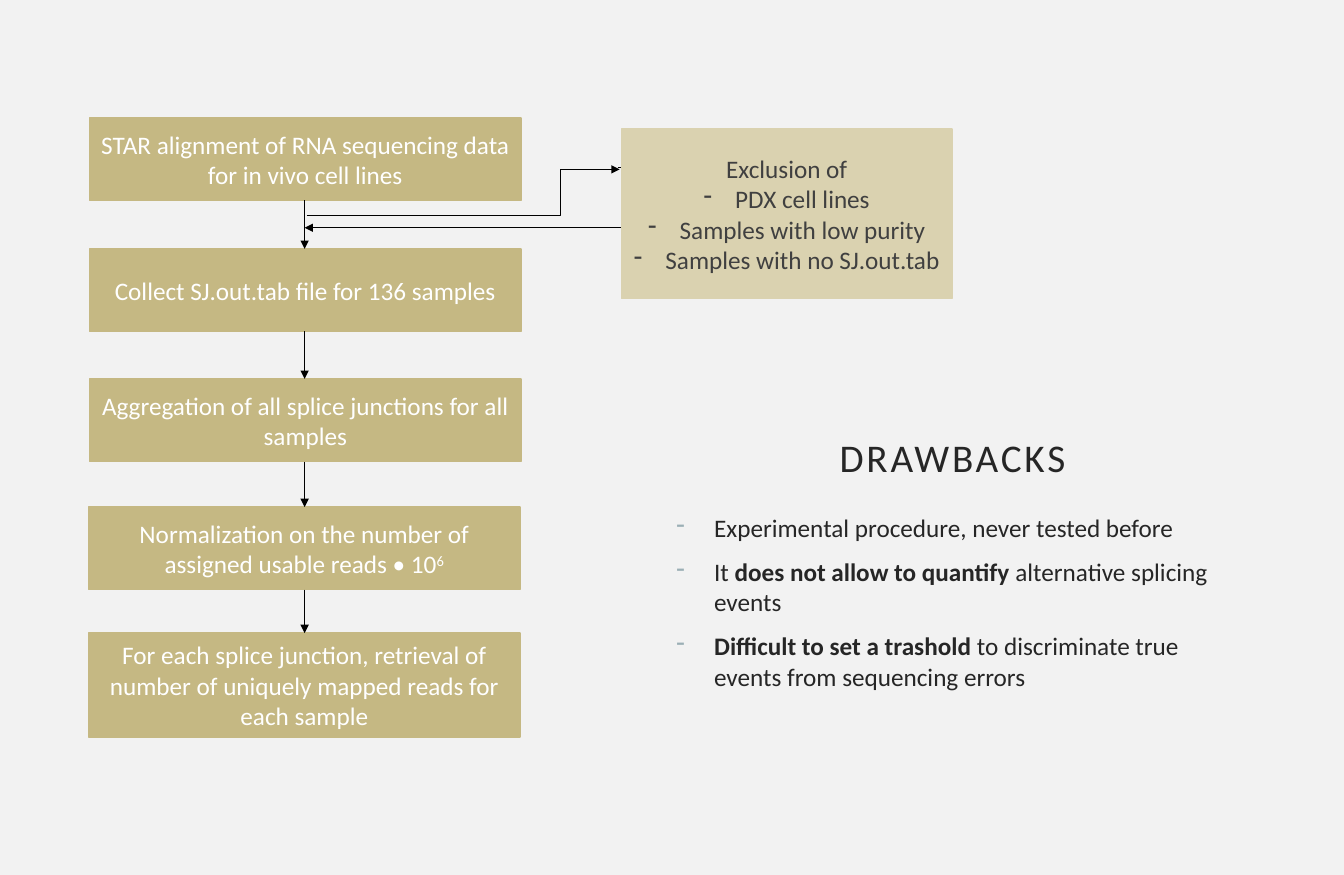
from itertools import pairwise

from lxml.etree import SubElement
from pptx import Presentation
from pptx.dml.color import RGBColor
from pptx.enum.shapes import MSO_CONNECTOR, MSO_SHAPE
from pptx.enum.text import MSO_ANCHOR, MSO_AUTO_SIZE, PP_ALIGN
from pptx.oxml.ns import qn
from pptx.util import Pt

BACKGROUND = RGBColor(0xF2, 0xF2, 0xF2)
GOLD = RGBColor(0xC5, 0xB8, 0x83)
PALE_GOLD = RGBColor(0xDA, 0xD2, 0xB0)
WHITE = RGBColor(0xFF, 0xFF, 0xFF)
GREY = RGBColor(0x40, 0x40, 0x40)
DARK = RGBColor(0x26, 0x26, 0x26)
BLACK = RGBColor(0, 0, 0)
DASH = RGBColor(0x9B, 0xAF, 0xB5)

STEPS = [
    (64.1, 84.2, 59, [("STAR alignment of RNA sequencing data for in vivo cell lines", {})]),
    (64.1, 177.8, 59, [("Collect SJ.out.tab file for 136 samples", {})]),
    (64.1, 270.7, 59, [("Aggregation of all splice junctions for all samples", {})]),
    (63.4, 362.2, 59, [("Normalization on the number of assigned usable reads • 10", {}),
                       ("6", {"baseline": "30000"})]),
    (63.4, 452.2, 74.2, [("For each splice junction, retrieval of number of uniquely "
                          "mapped reads for each sample", {})]),
]
EXCLUSIONS = ["PDX cell lines", "Samples with low purity", "Samples with no SJ.out.tab"]
DRAWBACKS = [
    [("Experimental procedure, never tested before", {})],
    [("It ", {}), ("does not allow to quantify ", {"b": "1"}),
     ("alternative splicing events", {})],
    [("Difficult to set a trashold ", {"b": "1"}),
     ("to discriminate true events from sequencing errors", {})],
]


def add_dash(paragraph, indent, color):
    """Give a paragraph a hanging dash, in its own colour if one is given."""
    properties = paragraph._p.get_or_add_pPr()
    properties.set("marL", str(Pt(indent)))
    properties.set("indent", str(-Pt(indent)))
    if color is not None:
        bullet_color = SubElement(properties, qn("a:buClr"))
        SubElement(bullet_color, qn("a:srgbClr"), val=str(color))
    SubElement(properties, qn("a:buChar"), char="-")


def write(paragraph, runs, color, size=18, align=PP_ALIGN.CENTER, indent=0,
          dash_color=None, before=0, spacing=None):
    """Fill a paragraph with (text, run attributes) pairs and format it."""
    if indent:
        add_dash(paragraph, indent, dash_color)
    paragraph.alignment = align
    paragraph.space_before = Pt(before)
    if spacing:
        paragraph.line_spacing = spacing
    for text, attributes in runs:
        run = paragraph.add_run()
        run.text = text
        run.font.name = "Calibri"
        run.font.size = Pt(size)
        run.font.color.rgb = color
        for name, value in attributes.items():
            run.font._element.set(name, value)


def add_box(slide, left, top, width, height, color):
    """Add a filled rectangle and return its text frame."""
    shape = slide.shapes.add_shape(MSO_SHAPE.RECTANGLE, Pt(left), Pt(top), Pt(width), Pt(height))
    shape.shadow.inherit = False
    shape.fill.solid()
    shape.fill.fore_color.rgb = color
    shape.line.color.rgb = color
    shape.line.width = Pt(1)
    shape.text_frame.word_wrap = True
    shape.text_frame.vertical_anchor = MSO_ANCHOR.MIDDLE
    return shape.text_frame


def add_arrow(slide, start, end, bend=None):
    """Add a thin arrow, elbowed at the given share of its width."""
    kind = MSO_CONNECTOR.STRAIGHT if bend is None else MSO_CONNECTOR.ELBOW
    connector = slide.shapes.add_connector(kind, *map(Pt, start + end))
    connector.line.color.rgb = BLACK
    connector.line.width = Pt(0.5)
    properties = connector._element.spPr
    SubElement(connector.line._get_or_add_ln(), qn("a:tailEnd"), type="triangle")
    SubElement(properties, qn("a:effectLst"))
    if bend is not None:
        geometry = properties.find(qn("a:prstGeom"))
        adjustments = geometry.find(qn("a:avLst"))
        if adjustments is None:
            adjustments = SubElement(geometry, qn("a:avLst"))
        SubElement(adjustments, qn("a:gd"), name="adj1", fmla=f"val {round(bend * 100000)}")


def add_workflow(slide, width, axis):
    """Stack the workflow steps and join them along a vertical axis."""
    for left, top, height, runs in STEPS:
        frame = add_box(slide, left, top, width, height, GOLD)
        write(frame.paragraphs[0], runs, WHITE)
    for (_, top, height, _), (_, next_top, _, _) in pairwise(STEPS):
        add_arrow(slide, (axis, top + height), (axis, next_top))


def add_exclusion(slide, left, top, width, height, axis):
    """Add the exclusion box with its arrows from and to the workflow axis."""
    add_arrow(slide, (axis + 1.5, top + 62), (left - 1.4, top + 28.8), bend=0.81)
    add_arrow(slide, (left - 2.8, top + 27.3), (axis, top + 70.5), bend=-0.05)
    frame = add_box(slide, left, top, width, height, PALE_GOLD)
    write(frame.paragraphs[0], [("Exclusion of", {})], GREY)
    for item in EXCLUSIONS:
        write(frame.add_paragraph(), [(item, {})], GREY, indent=22.5)


def add_drawbacks(slide, left, top, width, height):
    """Add the drawbacks list with its heading in the title placeholder."""
    box = slide.shapes.add_textbox(Pt(left), Pt(top + 52.6), Pt(width), Pt(height - 52.6))
    frame = box.text_frame
    frame.word_wrap = True
    for index, runs in enumerate(DRAWBACKS):
        paragraph = frame.add_paragraph() if index else frame.paragraphs[0]
        write(paragraph, runs, DARK, align=PP_ALIGN.LEFT, indent=27,
              dash_color=DASH, before=10 if index else 0)
    title = slide.shapes.title
    title.left, title.top = Pt(left + 55.4), Pt(top)
    title.width, title.height = Pt(298), Pt(46)
    title.text_frame.word_wrap = True
    title.text_frame.auto_size = MSO_AUTO_SIZE.NONE
    title.text_frame.vertical_anchor = MSO_ANCHOR.TOP
    write(title.text_frame.paragraphs[0], [("DRAWBACKS", {"spc": "200"})], DARK,
          size=28, spacing=0.9)


def main():
    """Build the slide and save it."""
    presentation = Presentation()
    presentation.slide_width, presentation.slide_height = Pt(960), Pt(625)
    slide = presentation.slides.add_slide(presentation.slide_layouts[5])
    slide.background.fill.solid()
    slide.background.fill.fore_color.rgb = BACKGROUND
    axis = 217.6
    add_workflow(slide, 308, axis)
    add_exclusion(slide, 444, 92.2, 236, 121, axis)
    add_drawbacks(slide, 476, 309.6, 408, 206)
    presentation.save("out.pptx")


if __name__ == "__main__":
    main()
